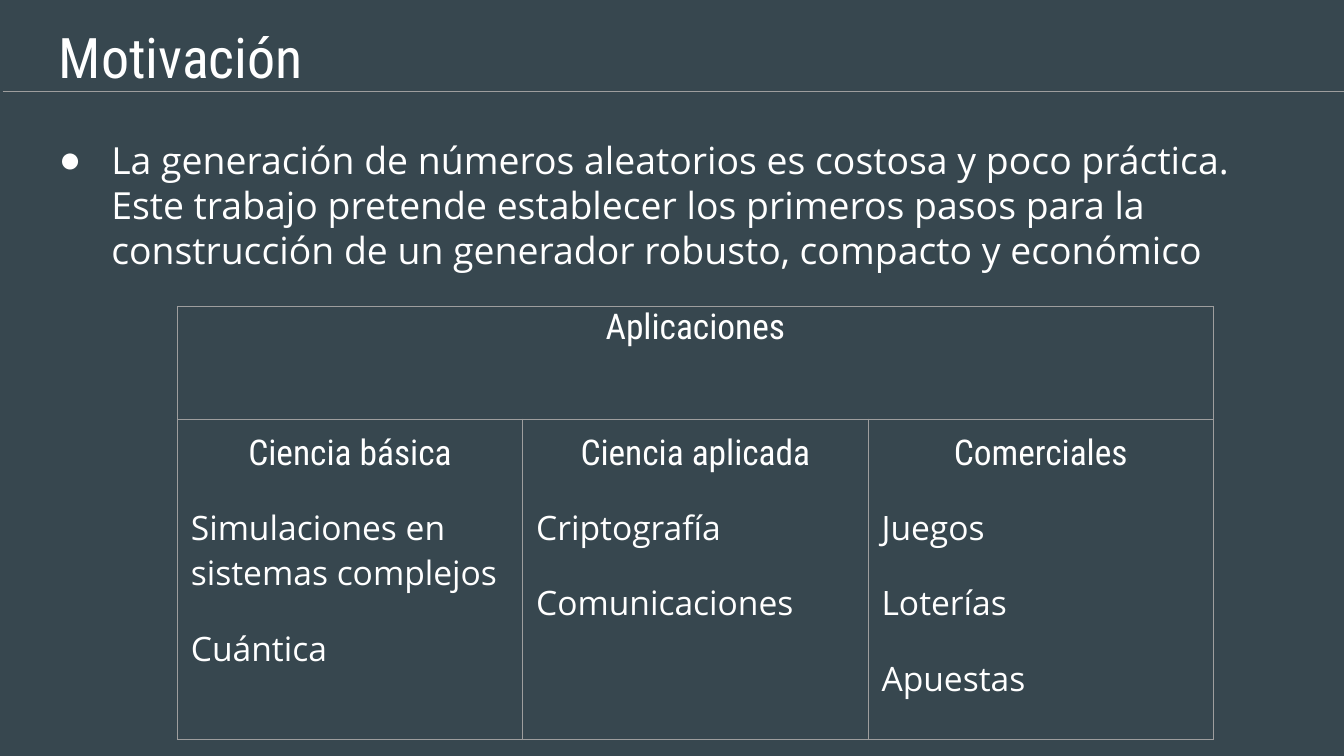
from dataclasses import dataclass

from pptx import Presentation
from pptx.dml.color import RGBColor
from pptx.enum.shapes import MSO_CONNECTOR
from pptx.enum.text import MSO_ANCHOR, PP_ALIGN
from pptx.oxml.ns import qn
from pptx.util import Inches, Pt
from lxml.etree import SubElement

TITLE = "Motivación"
STATEMENT = (
    "La generación de números aleatorios es costosa y poco práctica. "
    "Este trabajo pretende establecer los primeros pasos para la "
    "construcción de un generador robusto, compacto y económico"
)
TABLE_HEADING = "Aplicaciones"
APPLICATIONS = {
    "Ciencia básica": ["Simulaciones en sistemas complejos", "Cuántica"],
    "Ciencia aplicada": ["Criptografía", "Comunicaciones"],
    "Comerciales": ["Juegos", "Loterías", "Apuestas"],
}


@dataclass(frozen=True)
class Theme:
    """Colours, fonts and type sizes of the slide."""
    background: RGBColor = RGBColor(0x37, 0x47, 0x4F)
    text: RGBColor = RGBColor(0xFF, 0xFF, 0xFF)
    rule: RGBColor = RGBColor(0x9E, 0x9E, 0x9E)
    rule_width: float = 0.75
    heading_font: str = "Roboto Condensed"
    body_font: str = "Open Sans"
    bullet_font: str = "Arial"
    title_size: int = 30
    statement_size: int = 20
    heading_size: int = 19
    item_size: int = 18


THEME = Theme()
HEADING = {"name": THEME.heading_font, "size": Pt(THEME.heading_size)}
ITEM = {"name": THEME.body_font, "size": Pt(THEME.item_size)}
CENTRED = {"alignment": PP_ALIGN.CENTER}
SPACED = {"alignment": PP_ALIGN.LEFT, "space_before": Pt(16)}
SIDES = ("left", "right", "top", "bottom")


def set_all(target, values):
    """Set every attribute named in values on target."""
    for name, value in values.items():
        setattr(target, name, value)


def write(paragraph, text, font, layout):
    """Put one formatted run into a paragraph."""
    set_all(paragraph, layout)
    run = paragraph.add_run()
    run.text = text
    set_all(run.font, font)
    run.font.color.rgb = THEME.text


def add_text(slide, box, text, font):
    """Add a wrapping text box and return its paragraph."""
    frame = slide.shapes.add_textbox(*map(Inches, box)).text_frame
    set_all(frame, {"word_wrap": True, "vertical_anchor": MSO_ANCHOR.TOP})
    set_all(frame, {f"margin_{side}": Inches(0.1) for side in SIDES})
    write(frame.paragraphs[0], text, font, {"alignment": PP_ALIGN.LEFT})
    return frame.paragraphs[0]


def add_bullet(paragraph, left, hanging):
    """Give a paragraph a round bullet with a hanging indent."""
    props = paragraph._p.get_or_add_pPr()
    props.set("marL", str(Inches(left)))
    props.set("indent", str(-Inches(hanging)))
    colour = SubElement(props, qn("a:buClr"))
    SubElement(colour, qn("a:srgbClr"), val=str(THEME.text))
    SubElement(props, qn("a:buFont"), typeface=THEME.bullet_font)
    SubElement(props, qn("a:buChar"), char="●")


def style_cell(cell, margin):
    """Clear a cell's fill, set its margins and draw its borders."""
    set_all(cell, {f"margin_{side}": Inches(margin) for side in SIDES})
    cell.vertical_anchor = MSO_ANCHOR.TOP
    props = cell._tc.get_or_add_tcPr()
    for edge in ("lnL", "lnR", "lnT", "lnB"):
        line = SubElement(props, qn(f"a:{edge}"), w=str(Pt(THEME.rule_width)))
        fill = SubElement(line, qn("a:solidFill"))
        SubElement(fill, qn("a:srgbClr"), val=str(THEME.rule))
    cell.fill.background()


def add_applications(slide, left, top, column_width, row_heights):
    """Add the table of applications, one column per field."""
    count = len(APPLICATIONS)
    table = slide.shapes.add_table(
        len(row_heights), count, Inches(left), Inches(top),
        Inches(column_width * count), Inches(sum(row_heights))).table
    set_all(table, {"first_row": False, "horz_banding": False})
    for column in table.columns:
        column.width = Inches(column_width)
    for row, height in zip(table.rows, row_heights):
        row.height = Inches(height)

    for index, (field, uses) in enumerate(APPLICATIONS.items()):
        style_cell(table.cell(0, index), 0)
        cell = table.cell(1, index)
        style_cell(cell, 0.1)
        write(cell.text_frame.paragraphs[0], field, HEADING, CENTRED)
        for use in uses:
            write(cell.text_frame.add_paragraph(), use, ITEM, SPACED)

    heading = table.cell(0, 0)
    heading.merge(table.cell(0, count - 1))
    write(heading.text_frame.paragraphs[0], TABLE_HEADING, HEADING, CENTRED)


def add_rule(slide, start, end, y):
    """Draw the horizontal rule below the title."""
    rule = slide.shapes.add_connector(
        MSO_CONNECTOR.STRAIGHT, *map(Inches, (start, y, end, y)))
    rule.line.color.rgb = THEME.rule
    rule.line.width = Pt(THEME.rule_width)
    SubElement(rule._element.spPr, qn("a:effectLst"))


def build():
    """Build and save the slide."""
    deck = Presentation()
    width = Inches(10)
    set_all(deck, {"slide_width": width, "slide_height": width * 9 // 16})
    slide = deck.slides.add_slide(deck.slide_layouts[6])
    slide.background.fill.solid()
    slide.background.fill.fore_color.rgb = THEME.background

    add_text(slide, (0.34, 0.07, 9.32, 0.63), TITLE,
             {"name": THEME.heading_font, "size": Pt(THEME.title_size)})
    add_applications(slide, 1.32, 2.28, 2.57, (0.84, 2.38))
    statement = add_text(
        slide, (0.23, 0.92, 9.43, 1.29), STATEMENT,
        {"name": THEME.body_font, "size": Pt(THEME.statement_size)})
    add_bullet(statement, 0.5, 0.39)
    add_rule(slide, 0.02, 10.01, 0.68)
    deck.save("out.pptx")


build()
